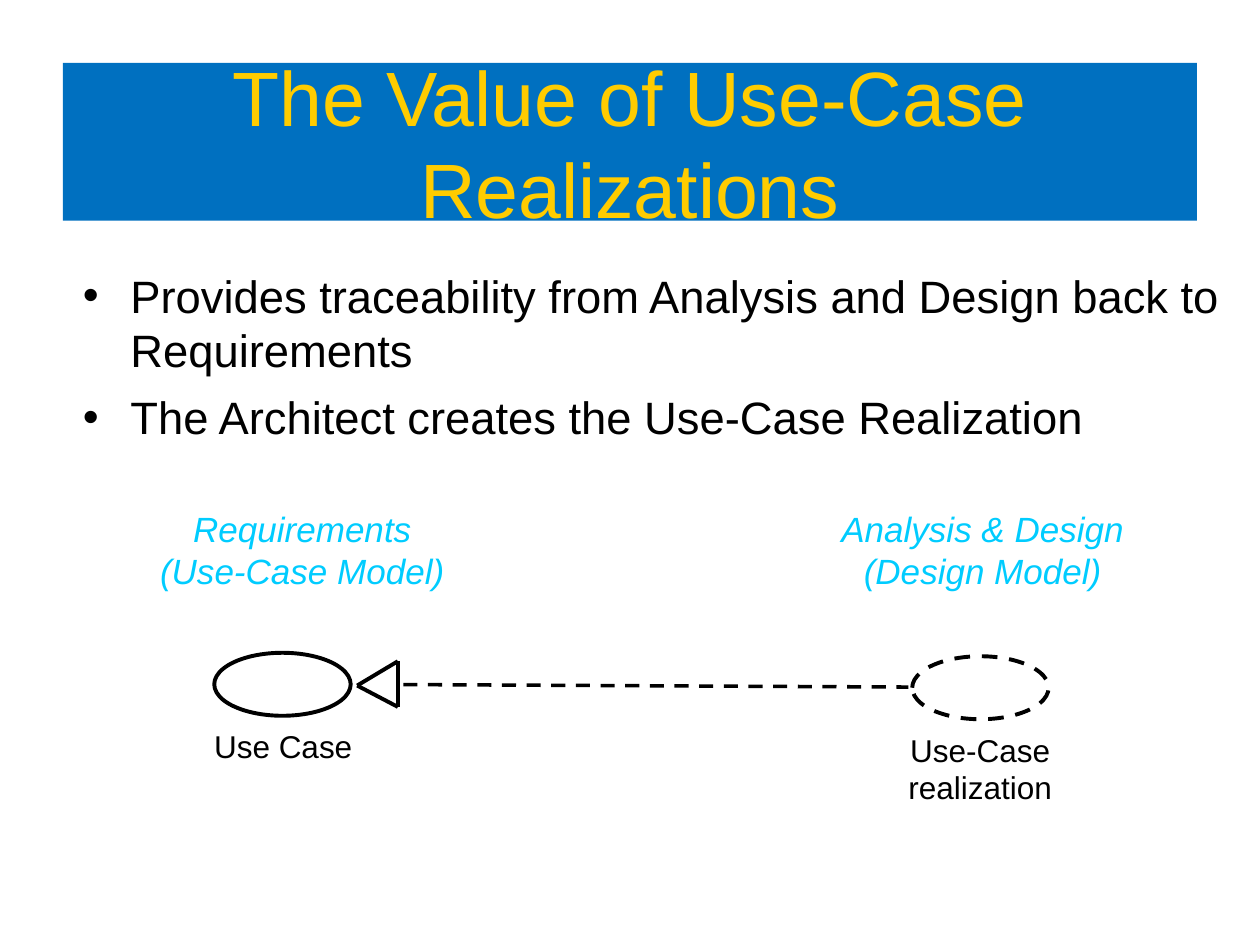
from dataclasses import dataclass
from itertools import combinations

from lxml import etree
from pptx import Presentation
from pptx import util as u
from pptx.dml.color import RGBColor
from pptx.enum import dml, shapes, text
from pptx.oxml.ns import qn

BLACK, BLUE, GOLD, CYAN = "000000", "0070C0", "FFCC00", "00CCFF"
Point = tuple[float, float]


@dataclass
class Label:
    content: str
    left: float
    top: float
    width: float
    height: float
    size: float = 18
    color: str = BLACK
    italic: bool = False
    inset: Point = (0.25, 0.13)


@dataclass
class Oval:
    left: float
    top: float
    dashed: bool = False


def rgb(color: str) -> RGBColor:
    return RGBColor.from_string(color)


def style_font(paragraph, size: float, color: str, italic: bool = False) -> None:
    formats = {"name": "Arial", "size": u.Pt(size), "italic": italic}
    for name, value in formats.items():
        setattr(paragraph.font, name, value)
    paragraph.font.color.rgb = rgb(color)


def style_line(line, width: float, dashed: bool) -> None:
    line.color.rgb = rgb(BLACK)
    line.width = u.Pt(width)
    if dashed:
        line.dash_style = dml.MSO_LINE.DASH


def add_title(slide, content: str) -> None:
    banner = slide.shapes.add_shape(
        shapes.MSO_SHAPE.RECTANGLE, u.Cm(1.27), u.Cm(1.27), u.Cm(22.86), u.Cm(3.18))
    banner.shadow.inherit = False
    banner.fill.solid()
    banner.fill.fore_color.rgb = rgb(BLUE)
    banner.line.fill.background()
    frame = banner.text_frame
    frame.text = content
    frame.vertical_anchor = text.MSO_ANCHOR.MIDDLE
    frame.paragraphs[0].alignment = text.PP_ALIGN.CENTER
    style_font(frame.paragraphs[0], 44, GOLD)


def add_benefits(slide, benefits: list[str]) -> None:
    frame = slide.shapes.add_textbox(
        u.Cm(1.42), u.Cm(5.28), u.Cm(23.6), u.Cm(4.01)).text_frame
    frame.word_wrap = True
    frame.text = "\n".join(benefits)
    for index, paragraph in enumerate(frame.paragraphs):
        properties = paragraph._p.get_or_add_pPr()
        properties.set("marL", str(u.Cm(0.96)))
        properties.set("indent", str(u.Cm(-0.96)))
        etree.SubElement(properties, qn("a:buFont"), typeface="Arial")
        etree.SubElement(properties, qn("a:buChar"), char="•")
        if index:
            paragraph.space_before = u.Pt(7)
        style_font(paragraph, 25.9, BLACK)


def add_label(slide, label: Label) -> None:
    frame = slide.shapes.add_textbox(
        u.Cm(label.left), u.Cm(label.top), u.Cm(label.width), u.Cm(label.height)).text_frame
    across, down = map(u.Cm, label.inset)
    formats = {"margin_left": across, "margin_right": across, "margin_top": down,
               "margin_bottom": down, "word_wrap": False, "text": label.content}
    for name, value in formats.items():
        setattr(frame, name, value)
    for paragraph in frame.paragraphs:
        paragraph.alignment = text.PP_ALIGN.CENTER
        style_font(paragraph, label.size, label.color, label.italic)


def add_oval(slide, oval: Oval) -> None:
    ellipse = slide.shapes.add_shape(
        shapes.MSO_SHAPE.OVAL, u.Cm(oval.left), u.Cm(oval.top), u.Cm(2.75), u.Cm(1.27))
    ellipse.shadow.inherit = False
    ellipse.fill.background()
    style_line(ellipse.line, 2.25, oval.dashed)


def add_line(slide, start: Point, end: Point, width: float = 2.25, dashed: bool = False) -> None:
    connector = slide.shapes.add_connector(
        shapes.MSO_CONNECTOR.STRAIGHT, *map(u.Cm, start + end))
    style_line(connector.line, width, dashed)
    etree.SubElement(connector._element.spPr, qn("a:effectLst"))


def main() -> None:
    deck = Presentation()
    deck.slide_width, deck.slide_height = u.Cm(25.4), u.Cm(19.05)
    slide = deck.slides.add_slide(deck.slide_layouts[6])

    add_title(slide, "The Value of Use-Case Realizations")
    add_benefits(slide, [
        "Provides traceability from Analysis and Design back to Requirements",
        "The Architect creates the Use-Case Realization",
    ])

    heading = {"size": 20, "color": CYAN, "italic": True, "inset": (0.3, 0.15)}
    for label in (
        Label("Requirements\n(Use-Case Model)", 2.92, 10.08, 6.35, 2.01, **heading),
        Label("Analysis & Design\n(Design Model)", 16.66, 10.08, 6.3, 2.01, **heading),
        Label("Use Case", 4.06, 14.53, 3.3, 1.02),
        Label("Use-Case\vrealization", 18.06, 14.6, 3.4, 1.78),
    ):
        add_label(slide, label)

    for oval in (Oval(4.32, 13.16), Oval(18.39, 13.23, dashed=True)):
        add_oval(slide, oval)

    arrowhead = [(7.2, 13.82), (8.02, 13.33), (8.02, 14.25)]
    for start, end in combinations(arrowhead, 2):
        add_line(slide, start, end)
    add_line(slide, (8.13, 13.8), (18.31, 13.85), width=2, dashed=True)

    deck.save("out.pptx")


if __name__ == "__main__":
    main()
